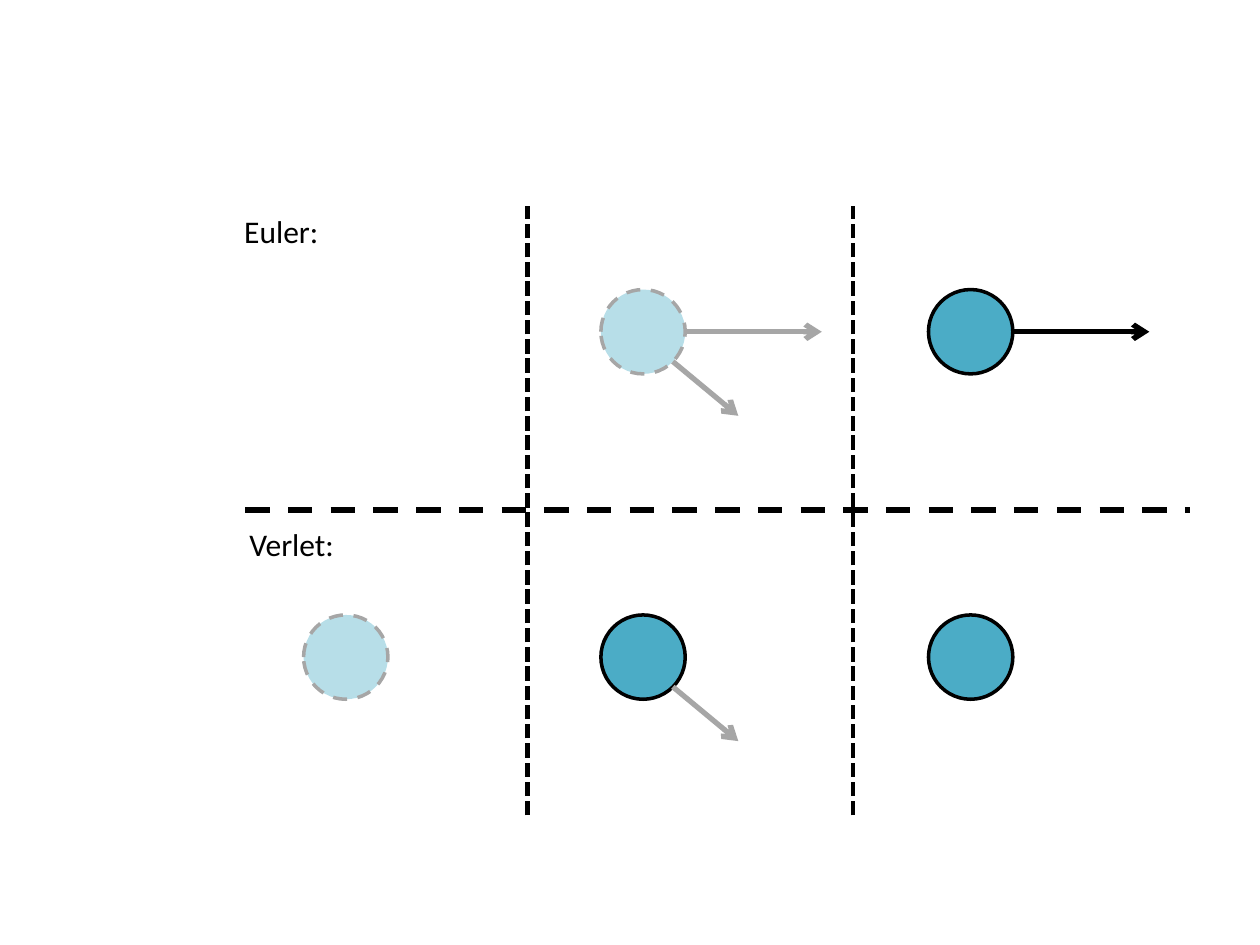
from lxml.etree import SubElement
from pptx import Presentation
from pptx.dml.color import RGBColor
from pptx.enum.dml import MSO_LINE
from pptx.enum.shapes import MSO_CONNECTOR, MSO_SHAPE
from pptx.oxml.ns import qn
from pptx.util import Pt

HUES = {"ink": "000000", "gray": "A6A6A6", "teal": "4BACC6", "pale": "B7DEE8"}
SIZE = 48.2
COLS = [173.5, 343.4, 530.6]
ROWS = [165.5, 351.4]


def style(line, hue, width, dash=None):
    line.color.rgb = RGBColor.from_string(HUES[hue])
    for name, value in {"width": Pt(width), "dash_style": dash}.items():
        setattr(line, name, value)


def draw(start, end, hue, width, dash=None, arrow=False):
    link = deck.shapes.add_connector(
        MSO_CONNECTOR.STRAIGHT, *[Pt(n) for n in (*start, *end)])
    style(link.line, hue, width, dash)
    if arrow:
        SubElement(link.line._get_or_add_ln(), qn("a:tailEnd"), type="arrow")
    SubElement(link._element.spPr, qn("a:effectLst"))


show = Presentation()
show.slide_width, show.slide_height = Pt(720), Pt(540)
deck = show.slides.add_slide(show.slide_layouts[6])

balls = [
    (1, 0, True, {"side": "gray", "down": "gray"}),
    (2, 0, False, {"side": "ink"}),
    (1, 1, False, {"down": "gray"}),
    (2, 1, False, {}),
    (0, 1, True, {}),
]
paths = {"side": ((SIZE, SIZE / 2), (78, 0)), "down": ((41.1, 41.1), (37.4, 31))}

for col, row, ghost, arrows in balls:
    left, top = COLS[col], ROWS[row]
    ball = deck.shapes.add_shape(
        MSO_SHAPE.OVAL, Pt(left), Pt(top), Pt(SIZE), Pt(SIZE))
    ball.shadow.inherit = False
    ball.fill.solid()
    ball.fill.fore_color.rgb = RGBColor.from_string(HUES["pale" if ghost else "teal"])
    style(ball.line, "gray" if ghost else "ink", 2, MSO_LINE.DASH if ghost else None)
    for kind, hue in arrows.items():
        (dx, dy), (run, drop) = paths[kind]
        x, y = left + dx, top + dy
        draw((x, y), (x + run, y + drop), hue, 3, arrow=True)

for x in (301.5, 487.5):
    draw((x, 466), (x, 118), "ink", 2.75, MSO_LINE.SQUARE_DOT)
draw((140.2, 291.5), (680.2, 291.5), "ink", 3.5, MSO_LINE.DASH)

for text, left, top, width in [("Verlet:", 135.4, 296.6, 105), ("Euler:", 132.5, 117.4, 111)]:
    box = deck.shapes.add_textbox(Pt(left), Pt(top), Pt(width), Pt(29))
    box.text_frame.word_wrap = True
    run = box.text_frame.paragraphs[0].add_run()
    run.text = text
    for name, value in {"name": "Calibri", "size": Pt(18)}.items():
        setattr(run.font, name, value)
    run.font.color.rgb = RGBColor.from_string(HUES["ink"])

show.save("out.pptx")
